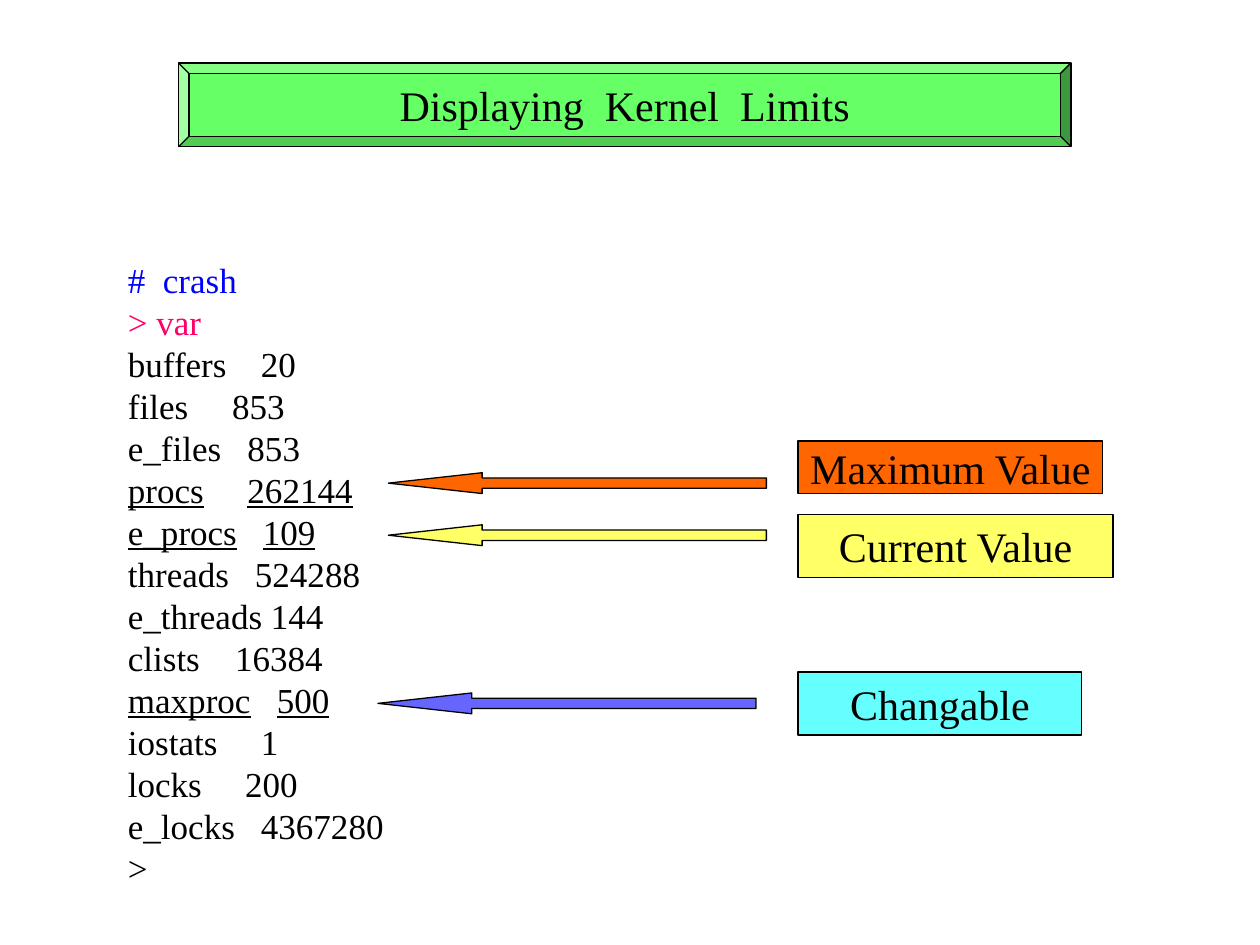
from lxml.etree import SubElement
from pptx import Presentation
from pptx.dml.color import RGBColor
from pptx.enum.shapes import MSO_SHAPE as Shape
from pptx.enum.text import MSO_ANCHOR as Anchor, PP_ALIGN as Align
from pptx.oxml.ns import qn
from pptx.util import Cm, Pt

# Content
TITLE = "Displaying  Kernel  Limits"
# Name, value, value position in cm, colour, underlined
LISTING = [
    ("#  crash", None, None, "command", False),
    ("> var", None, None, "prompt", False),
    ("buffers", "20", 2.68, "ink", False),
    ("files", "853", 2.1, "ink", False),
    ("e_files", "853", 2.41, "ink", False),
    ("procs", "262144", 2.41, "ink", True),
    ("e_procs", "109", 2.72, "ink", True),
    ("threads", "524288", 2.56, "ink", False),
    ("e_threads 144", None, None, "ink", False),
    ("clists", "16384", 2.16, "ink", False),
    ("maxproc", "500", 3.0, "ink", True),
    ("iostats", "1", 2.68, "ink", False),
    ("locks", "200", 2.36, "ink", False),
    ("e_locks", "4367280", 2.68, "ink", False),
    (">", None, None, "ink", False),
]
# Label, box (top, width, height), arrow (left, top), box and arrow colours
CALLOUTS = [
    ("Maximum Value", (8.89, 6.14, 1.06), (7.83, 9.53), "maximum", "maximum"),
    ("Current Value", (10.37, 6.35, 1.27), (7.83, 10.58), "current", "current"),
    ("Changable", (13.55, 5.72, 1.27), (7.62, 13.97), "change", "change_arrow"),
]
LABEL_LEFT, ARROW_SIZE = 16.09, (7.62, 0.42)

THEME = {
    "font": "Times New Roman", "large": 24, "body": 20, "line": 0.75,
    "ink": "000000", "command": "0000FF", "prompt": "FF0066",
    "title": "66FF66", "maximum": "FF6600", "current": "FFFF66",
    "change": "66FFFF", "change_arrow": "6666FF",
}


def color(name):
    return RGBColor.from_string(THEME[name])


def write(p, text, size="body", ink="ink", underline=False, align=Align.LEFT, tab=None):
    p.alignment = align
    if tab is not None:
        tabs = SubElement(p._p.get_or_add_pPr(), qn("a:tabLst"))
        SubElement(tabs, qn("a:tab"), pos=str(Cm(tab)), algn="l")
    r = p.add_run()
    r.text = text
    r.font.name = THEME["font"]
    r.font.size = Pt(THEME[size])
    r.font.color.rgb = color(ink)
    r.font.underline = underline


def add_box(s, kind, box, fill, text=None):
    sp = s.shapes.add_shape(kind, *map(Cm, box))
    sp.shadow.inherit = False
    sp.fill.solid()
    sp.fill.fore_color.rgb = color(fill)
    sp.line.color.rgb = color("ink")
    sp.line.width = Pt(THEME["line"])
    if text:
        tf = sp.text_frame
        tf.word_wrap = False
        tf.vertical_anchor = Anchor.MIDDLE
        write(tf.paragraphs[0], text, size="large", align=Align.CENTER)
    return sp


prs = Presentation()
prs.slide_width, prs.slide_height = Cm(25.4), Cm(19.05)
s = prs.slides.add_slide(prs.slide_layouts[6])

# Title
add_box(s, Shape.BEVEL, (3.6, 1.27, 17.99, 1.69), "title", TITLE)

# Terminal listing
tf = s.shapes.add_textbox(Cm(2.33), Cm(5.08), Cm(5.67), Cm(12.95)).text_frame
tf.word_wrap = False
for i, (name, value, tab, ink, underline) in enumerate(LISTING):
    p = tf.add_paragraph() if i else tf.paragraphs[0]
    text = f"{name}\t{value}" if value else name
    write(p, text, ink=ink, underline=underline, tab=tab)

# Labels and their arrows
for label, (top, width, height), arrow_at, fill, arrow_fill in CALLOUTS:
    add_box(s, Shape.RECTANGLE, (LABEL_LEFT, top, width, height), fill, label)
    arrow = add_box(s, Shape.LEFT_ARROW, arrow_at + ARROW_SIZE, arrow_fill)
    arrow.adjustments[0] = 0.5
    arrow.adjustments[1] = 4.5

prs.save("out.pptx")
